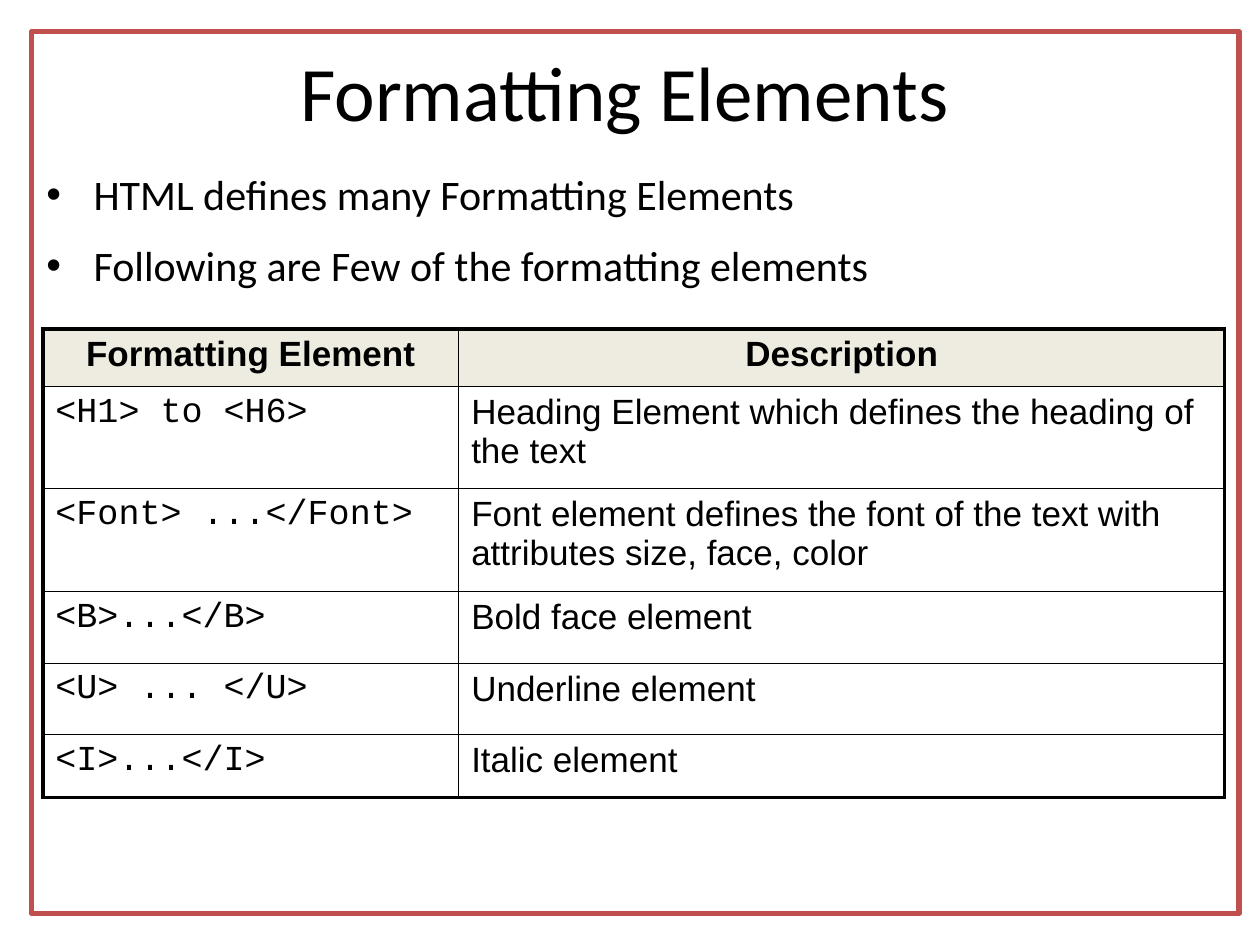
from typing import NamedTuple

import pptx
import pptx.dml.color
import pptx.enum.shapes
import pptx.enum.text
import pptx.oxml
import pptx.oxml.ns
import pptx.util
from lxml import etree

Pt = pptx.util.Pt
Align = pptx.enum.text.PP_ALIGN
Anchor = pptx.enum.text.MSO_ANCHOR

BLACK, WHITE, RED, CREAM = "000000", "FFFFFF", "C0504D", "EEECE1"
OUTER_BORDER, INNER_BORDER = 2.25, 1
COLUMN_WIDTHS = (237.6, 437.8)


class Row(NamedTuple):
    element: str
    description: str
    height: float


ROWS = [
    Row("Formatting Element", "Description", 33.1),
    Row("<H1> to <H6>", "Heading Element which defines the heading of the text", 58.3),
    Row("<Font> ...</Font>",
        "Font element defines the font of the text with attributes size, face, color", 58.8),
    Row("<B>...</B>", "Bold face element", 41),
    Row("<U> ... </U>", "Underline element", 40.8),
    Row("<I>...</I>", "Italic element", 36),
]
BULLETS = [
    "HTML defines many Formatting Elements",
    "Following are Few of the formatting elements",
]


def color(value: str) -> pptx.dml.color.RGBColor:
    return pptx.dml.color.RGBColor.from_string(value)


def write(paragraph, text: str, *, size: float, font: str = "Calibri", bold: bool = False,
          align=Align.LEFT, space_before: float = 0) -> None:
    paragraph.alignment = align
    paragraph.space_before = Pt(space_before)
    run = paragraph.add_run()
    run.text = text
    run.font.size = Pt(size)
    run.font.name = font
    run.font.bold = bold
    run.font.color.rgb = color(BLACK)


def add_text_frame(slide, left: float, top: float, width: float, height: float, anchor):
    text_frame = slide.shapes.add_textbox(Pt(left), Pt(top), Pt(width), Pt(height)).text_frame
    text_frame.word_wrap = True
    text_frame.vertical_anchor = anchor
    return text_frame


def add_bullet(paragraph, indent: float) -> None:
    properties = paragraph._p.get_or_add_pPr()
    properties.set("marL", str(Pt(indent)))
    properties.set("indent", str(-Pt(indent)))
    for tag, name, value in (("a:buFont", "typeface", "Arial"), ("a:buChar", "char", "•")):
        etree.SubElement(properties, pptx.oxml.ns.qn(tag)).set(name, value)


def set_borders(cell, widths: dict[str, float]) -> None:
    """Add the cell's borders ahead of its fill, as the schema orders them."""
    properties = cell._tc.get_or_add_tcPr()
    for position, (side, width) in enumerate(widths.items()):
        properties.insert(position, pptx.oxml.parse_xml(
            f'<a:{side} {pptx.oxml.ns.nsdecls("a")} w="{Pt(width)}"><a:solidFill>'
            f'<a:srgbClr val="{BLACK}"/></a:solidFill></a:{side}>'))


def add_frame(slide) -> None:
    frame = slide.shapes.add_shape(
        pptx.enum.shapes.MSO_SHAPE.RECTANGLE, Pt(18), Pt(18), Pt(690), Pt(504))
    frame.shadow.inherit = False
    frame.fill.solid()
    frame.fill.fore_color.rgb = color(WHITE)
    frame.line.color.rgb = color(RED)
    frame.line.width = Pt(3)


def add_elements_table(slide) -> None:
    table = slide.shapes.add_table(
        len(ROWS), len(COLUMN_WIDTHS), Pt(24.5), Pt(187.9),
        Pt(sum(COLUMN_WIDTHS)), Pt(sum(row.height for row in ROWS))).table
    table.first_row = table.horz_banding = False
    for column, width in zip(table.columns, COLUMN_WIDTHS):
        column.width = Pt(width)

    def border(is_outer: bool) -> float:
        return OUTER_BORDER if is_outer else INNER_BORDER

    for row_index, row in enumerate(ROWS):
        table.rows[row_index].height = Pt(row.height)
        header = row_index == 0
        for column_index, text in enumerate((row.element, row.description)):
            cell = table.cell(row_index, column_index)
            if header:
                cell.fill.solid()
                cell.fill.fore_color.rgb = color(CREAM)
            else:
                cell.fill.background()
            is_code = column_index == 0 and not header
            write(cell.text_frame.paragraphs[0], text, size=20, bold=header,
                  font="Courier New" if is_code else "Arial",
                  align=Align.CENTER if header else Align.LEFT, space_before=4)
            set_borders(cell, {
                "lnL": border(column_index == 0),
                "lnR": border(column_index == len(COLUMN_WIDTHS) - 1),
                "lnT": border(header),
                "lnB": border(row_index == len(ROWS) - 1),
            })


def main() -> None:
    presentation = pptx.Presentation()
    presentation.slide_width, presentation.slide_height = Pt(720), Pt(540)
    slide = presentation.slides.add_slide(presentation.slide_layouts[6])
    add_frame(slide)

    title = add_text_frame(slide, 36, 16, 642, 72, Anchor.MIDDLE)
    write(title.paragraphs[0], "Formatting Elements", size=44, align=Align.CENTER)

    body = add_text_frame(slide, 19.4, 93, 660, 74, Anchor.TOP)
    for index, text in enumerate(BULLETS):
        paragraph = body.add_paragraph() if index else body.paragraphs[0]
        write(paragraph, text, size=24, space_before=11.5)
        add_bullet(paragraph, 27)

    add_elements_table(slide)
    presentation.save("out.pptx")


if __name__ == "__main__":
    main()
